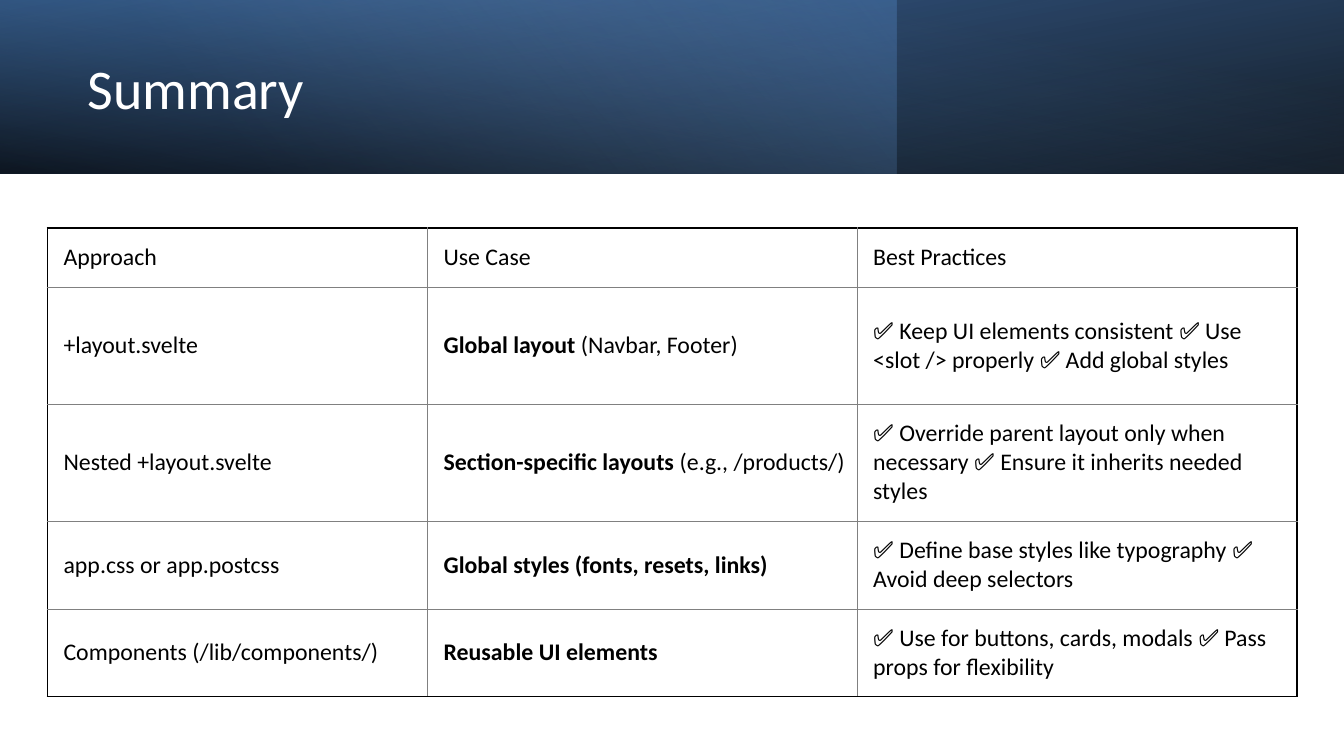
from dataclasses import dataclass

from lxml import etree
from pptx import Presentation
from pptx.dml.color import RGBColor
from pptx.enum.shapes import MSO_SHAPE
from pptx.enum.text import MSO_ANCHOR
from pptx.oxml import parse_xml
from pptx.oxml.ns import nsdecls, qn
from pptx.util import Inches, Length, Pt

RECTANGLE = MSO_SHAPE.RECTANGLE
MIDDLE = MSO_ANCHOR.MIDDLE
BLANK_LAYOUT = 6
SLIDE_WIDTH, SLIDE_HEIGHT = Inches(13.33), Inches(7.5)
FONT = "Calibri"
BLACK, GREY, WHITE = "000000", "808080", "FFFFFF"


@dataclass(frozen=True)
class Stop:
    position: int
    color: str
    opacity: int


@dataclass(frozen=True)
class Band:
    width: float
    angle: int
    stops: tuple[Stop, ...]
    rotation: int = 0
    mirrored: bool = False


@dataclass(frozen=True)
class Words:
    text: str
    bold: bool = False


# Shares are percentages of the slide's width or height.
BAND_HEIGHT = 22.93
BANDS = (
    Band(100, 100, (Stop(0, BLACK, 96), Stop(100, "376092", 100)), 180, True),
    Band(66.67, 140, (Stop(0, "4F81BD", 41), Stop(74, "95B3D7", 0))),
    Band(100, 260, (Stop(0, BLACK, 63), Stop(78, "4F81BD", 15)), mirrored=True),
)
TABLE_LEFT, TABLE_TOP = 3.53, 30.13
COLUMN_SHARES = (28.28, 31.96, 32.71)
ROW_SHARES = (7.87, 15.47, 15.47, 11.6, 11.6)
SUMMARY_ROWS = (
    ((Words("Approach"),), (Words("Use Case"),), (Words("Best Practices"),)),
    (
        (Words("+layout.svelte"),),
        (Words("Global layout", True), Words(" (Navbar, Footer)")),
        (Words("✅ Keep UI elements consistent ✅ Use <slot /> properly ✅ Add global styles"),),
    ),
    (
        (Words("Nested +layout.svelte"),),
        (Words("Section-specific layouts", True), Words(" (e.g., /products/)")),
        (Words("✅ Override parent layout only when necessary ✅ Ensure it inherits needed styles"),),
    ),
    (
        (Words("app.css or app.postcss"),),
        (Words("Global styles (fonts, resets, links)", True),),
        (Words("✅ Define base styles like typography ✅ Avoid deep selectors"),),
    ),
    (
        (Words("Components (/lib/components/)"),),
        (Words("Reusable UI elements", True),),
        (Words("✅ Use for buttons, cards, modals ✅ Pass props for flexibility"),),
    ),
)


def across(share: float) -> Length:
    return Length(round(SLIDE_WIDTH * share / 100))


def down(share: float) -> Length:
    return Length(round(SLIDE_HEIGHT * share / 100))


def rgb(color: str) -> RGBColor:
    return RGBColor.from_string(color)


def add_span(para, words: Words, size: float, color: str) -> None:
    span = para.add_run()
    span.text = words.text
    span.font.name = FONT
    span.font.size = Pt(size)
    span.font.bold = words.bold
    span.font.color.rgb = rgb(color)


def fill_gradient(shape, band: Band) -> None:
    """Replace the shape's fill with a gradient that has transparent stops."""
    stops = "".join(
        f'<a:gs pos="{stop.position * 1000}"><a:srgbClr val="{stop.color}">'
        f'<a:alpha val="{stop.opacity * 1000}"/></a:srgbClr></a:gs>'
        for stop in band.stops
    )
    gradient = parse_xml(
        f'<a:gradFill {nsdecls("a")} rotWithShape="1"><a:gsLst>{stops}</a:gsLst>'
        f'<a:lin ang="{band.angle * 60000}" scaled="0"/></a:gradFill>'
    )
    shape.fill.background()
    properties = shape._element.spPr
    properties.replace(properties.find(qn("a:noFill")), gradient)


def add_band(page, band: Band) -> None:
    shape = page.shapes.add_shape(RECTANGLE, 0, 0, across(band.width), down(BAND_HEIGHT))
    shape.shadow.inherit = False
    shape.line.fill.background()
    fill_gradient(shape, band)
    shape.rotation = band.rotation
    if band.mirrored:
        shape._element.spPr.xfrm.set("flipH", "1")


def add_title(page, text: str) -> None:
    box = page.shapes.add_textbox(across(5.78), down(3.6), across(57.91), down(16.93))
    frame = box.text_frame
    frame.word_wrap = True
    frame.vertical_anchor = MIDDLE
    para = frame.paragraphs[0]
    para.line_spacing = 0.9
    add_span(para, Words(text), 40, WHITE)


def set_borders(cell, outer_sides: dict[str, bool]) -> None:
    """Draw outer sides black and thick, inner sides grey and thin."""
    properties = cell._tc.get_or_add_tcPr()
    for index, (side, outer) in enumerate(outer_sides.items()):
        color, width = (BLACK, 1.5) if outer else (GREY, 0.5)
        line = etree.Element(qn(f"a:ln{side}"), w=str(Pt(width)))
        solid = etree.SubElement(line, qn("a:solidFill"))
        etree.SubElement(solid, qn("a:srgbClr"), val=color)
        properties.insert(index, line)


def fill_cell(cell, content: tuple[Words, ...]) -> None:
    cell.fill.background()
    cell.vertical_anchor = MIDDLE
    cell.margin_left, cell.margin_right = across(1.2), across(0.9)
    cell.margin_top = cell.margin_bottom = down(1.6)
    for words in content:
        add_span(cell.text_frame.paragraphs[0], words, 17, BLACK)


def add_summary_table(page) -> None:
    last_row, last_column = len(ROW_SHARES) - 1, len(COLUMN_SHARES) - 1
    table = page.shapes.add_table(
        len(ROW_SHARES), len(COLUMN_SHARES), across(TABLE_LEFT), down(TABLE_TOP),
        across(sum(COLUMN_SHARES)), down(sum(ROW_SHARES)),
    ).table
    table.first_row = table.horz_banding = False
    for column, share in zip(table.columns, COLUMN_SHARES):
        column.width = across(share)
    for row, share in zip(table.rows, ROW_SHARES):
        row.height = down(share)
    for r, contents in enumerate(SUMMARY_ROWS):
        for c, content in enumerate(contents):
            cell = table.cell(r, c)
            fill_cell(cell, content)
            set_borders(cell, {
                "L": c == 0, "R": c == last_column, "T": r == 0, "B": r == last_row,
            })


def main() -> None:
    deck = Presentation()
    deck.slide_width, deck.slide_height = SLIDE_WIDTH, SLIDE_HEIGHT
    page = deck.slides.add_slide(deck.slide_layouts[BLANK_LAYOUT])
    for band in BANDS:
        add_band(page, band)
    add_title(page, "Summary")
    add_summary_table(page)
    deck.save("out.pptx")


if __name__ == "__main__":
    main()
